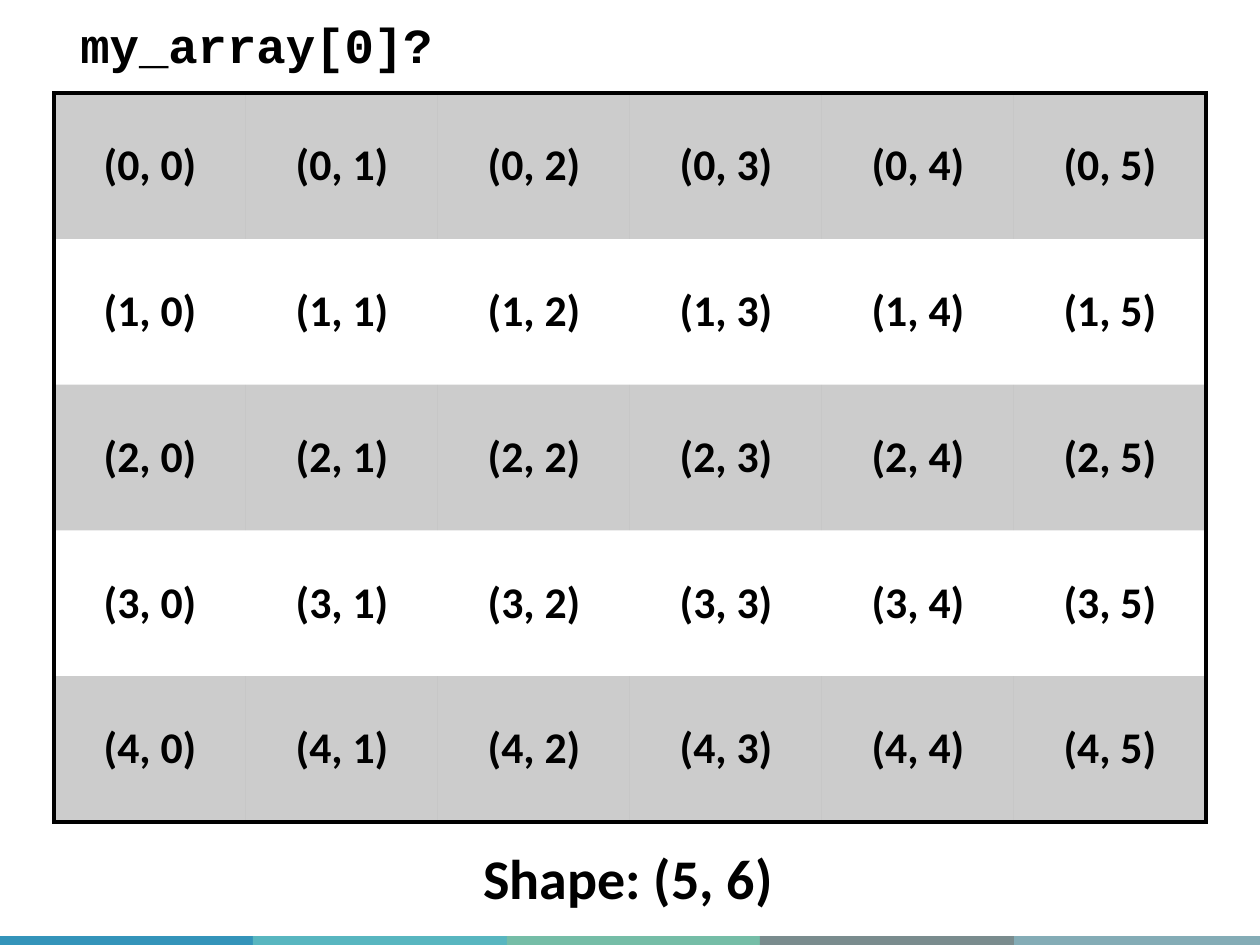
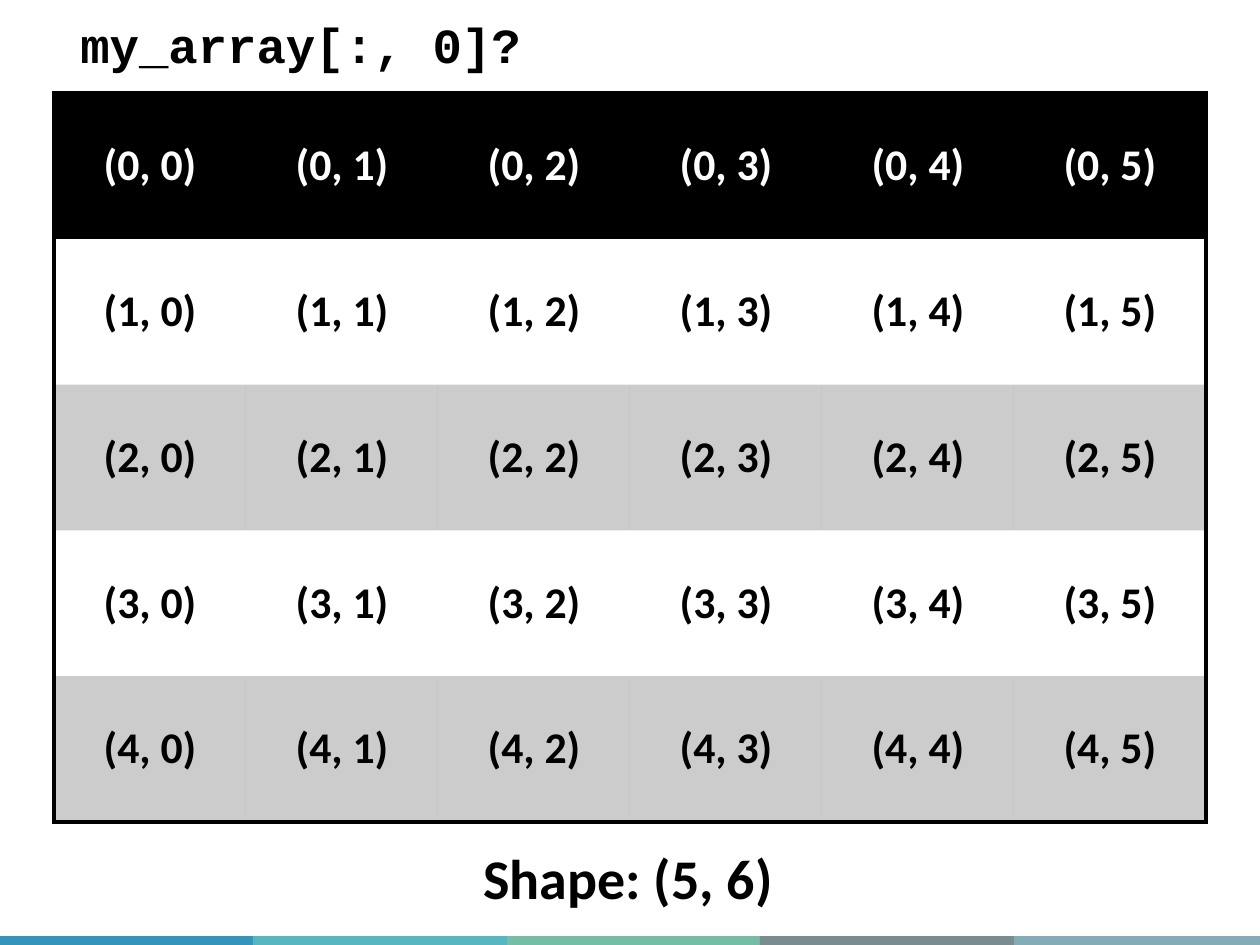
from lxml.etree import SubElement
from pptx import Presentation
from pptx.dml.color import RGBColor
from pptx.enum.shapes import MSO_SHAPE as Shape
from pptx.enum.text import MSO_ANCHOR as Anchor, MSO_AUTO_SIZE as AutoSize, PP_ALIGN as Align
from pptx.oxml.ns import qn
from pptx.util import Emu, Pt

SLIDE_W, SLIDE_H = 1260, 945
ROWS, COLS = 5, 6
BORDER = Pt(2.25)
NO_GRID_STYLE = "{2D5ABB26-0587-4C30-8999-92F81FD0307C}"
BODY_FONT, CODE_FONT = "Calibri", "Courier New"
COLORS = {
    "ink": "000000",
    "paper": "FFFFFF",
    "blue": "3494BA",
    "teal": "58B6C0",
    "green": "75BDA7",
    "slate": "7A8C8E",
    "mist": "84ACB6",
}
STRIPES = ("blue", "teal", "green", "slate", "mist")

# Boxes are (left, top, width, height) in px
STRIP_BOX = (0, 936, 1267, 9)
GRID_BOX = (54, 93, 1152, 729)
CAPTION_BOX = (471, 837, 318, 81)


def px(length):
    return Emu(round(length * 914400 / 126))


def color(name):
    return RGBColor.from_string(COLORS[name])


def write(frame, text, size, font=BODY_FONT, ink="ink", align=Align.LEFT):
    para = frame.paragraphs[0]
    para.alignment = align
    span = para.add_run()
    span.text = text
    span.font.name = font
    span.font.size = Pt(size)
    span.font.bold = True
    span.font.color.rgb = color(ink)


def add_label(page, box, text, size, **style):
    frame = page.shapes.add_textbox(*map(px, box)).text_frame
    frame.word_wrap = False
    frame.auto_size = AutoSize.SHAPE_TO_FIT_TEXT
    write(frame, text, size, **style)


def add_strip(page, box):
    """Coloured footer strip, cut off at the right edge of the slide."""
    left, top, width, height = box
    edges = [min(left + round(width * i / len(STRIPES)), SLIDE_W)
             for i in range(len(STRIPES) + 1)]
    for name, start, end in zip(STRIPES, edges, edges[1:]):
        stripe = page.shapes.add_shape(
            Shape.RECTANGLE, px(start), px(top), px(end - start), px(height))
        stripe.shadow.inherit = False
        stripe.fill.solid()
        stripe.fill.fore_color.rgb = color(name)
        stripe.line.fill.background()


def set_borders(cell, sides):
    """Draw the outer border on the sides that are True, none elsewhere."""
    props = cell._tc.get_or_add_tcPr()
    for side, drawn in sides.items():
        line = SubElement(props, qn(f"a:ln{side}"), w=str(BORDER if drawn else 0))
        if drawn:
            fill = SubElement(line, qn("a:solidFill"))
            SubElement(fill, qn("a:srgbClr"), val=COLORS["ink"])
        else:
            SubElement(line, qn("a:noFill"))


def fill_cell(cell, opacity):
    if not opacity:
        cell.fill.background()
        return
    cell.fill.solid()
    cell.fill.fore_color.rgb = color("ink")
    if opacity < 100:
        tint = cell._tc.tcPr.find(qn("a:solidFill")).find(qn("a:srgbClr"))
        SubElement(tint, qn("a:alpha"), val=str(opacity * 1000))


def add_index_grid(page, box, header):
    """Table of array indices, banded on every even row."""
    table = page.shapes.add_table(ROWS, COLS, *map(px, box)).table
    table._tbl.tblPr.find(qn("a:tableStyleId")).text = NO_GRID_STYLE
    table.first_row = header
    table.horz_banding = False
    for column in table.columns:
        column.width = px(box[2] / COLS)
    for r, row in enumerate(table.rows):
        row.height = px(box[3] / ROWS)
        is_header = header and r == 0
        opacity = 100 if is_header else 20 if r % 2 == 0 else 0
        for c, cell in enumerate(row.cells):
            cell.vertical_anchor = Anchor.MIDDLE
            cell.margin_left = cell.margin_right = px(18)
            cell.margin_top = cell.margin_bottom = px(9)
            set_borders(cell, {"L": c == 0, "R": c == COLS - 1,
                               "T": r == 0, "B": r == ROWS - 1})
            fill_cell(cell, opacity)
            write(cell.text_frame, f"({r}, {c})", 25, align=Align.CENTER,
                  ink="paper" if is_header else "ink")


def add_array_page(deck, question, title_width, header):
    page = deck.slides.add_slide(deck.slide_layouts[6])
    add_strip(page, STRIP_BOX)
    add_index_grid(page, GRID_BOX, header)
    add_label(page, CAPTION_BOX, f"Shape: ({ROWS}, {COLS})", 32)
    add_label(page, (68, 8, title_width, 72), question, 28, font=CODE_FONT)


def main():
    deck = Presentation()
    deck.slide_width, deck.slide_height = px(SLIDE_W), px(SLIDE_H)
    add_array_page(deck, "my_array[0]?", 381, header=False)
    add_array_page(deck, "my_array[:, 0]?", 470, header=True)
    deck.save("out.pptx")


if __name__ == "__main__":
    main()
